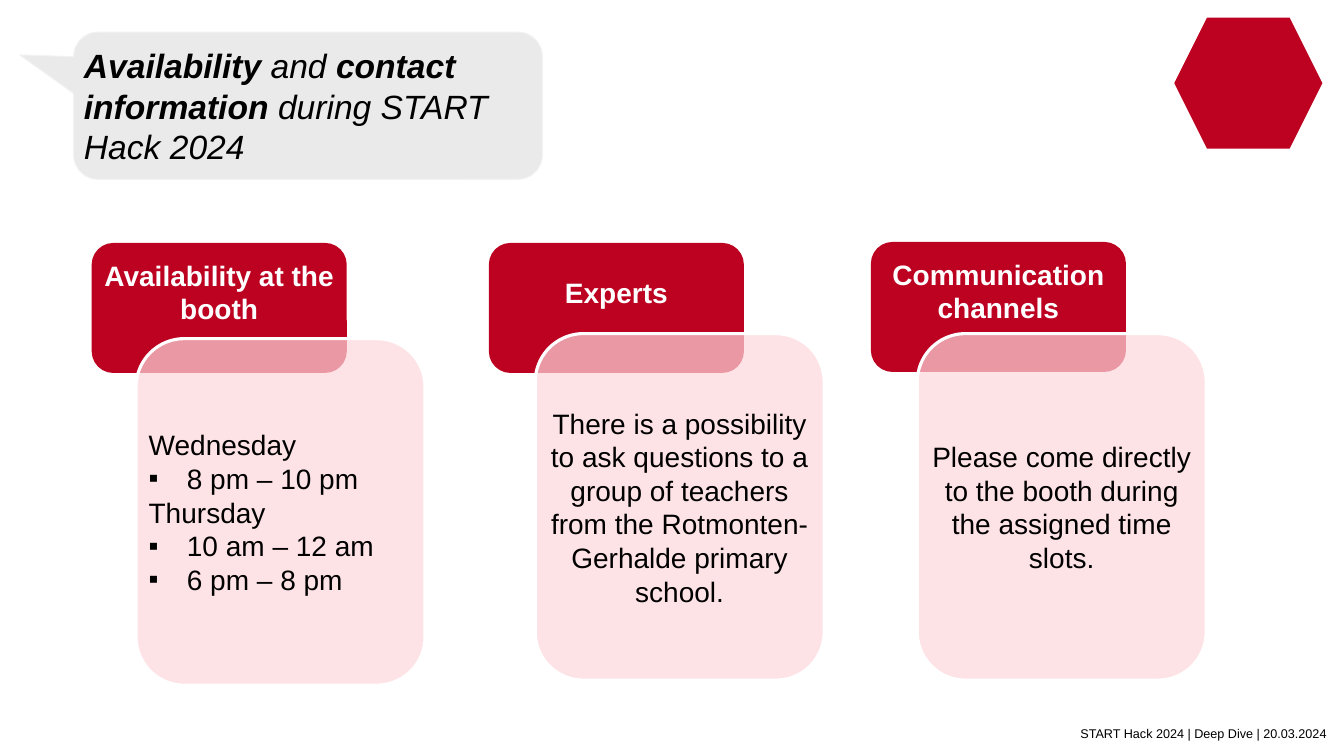
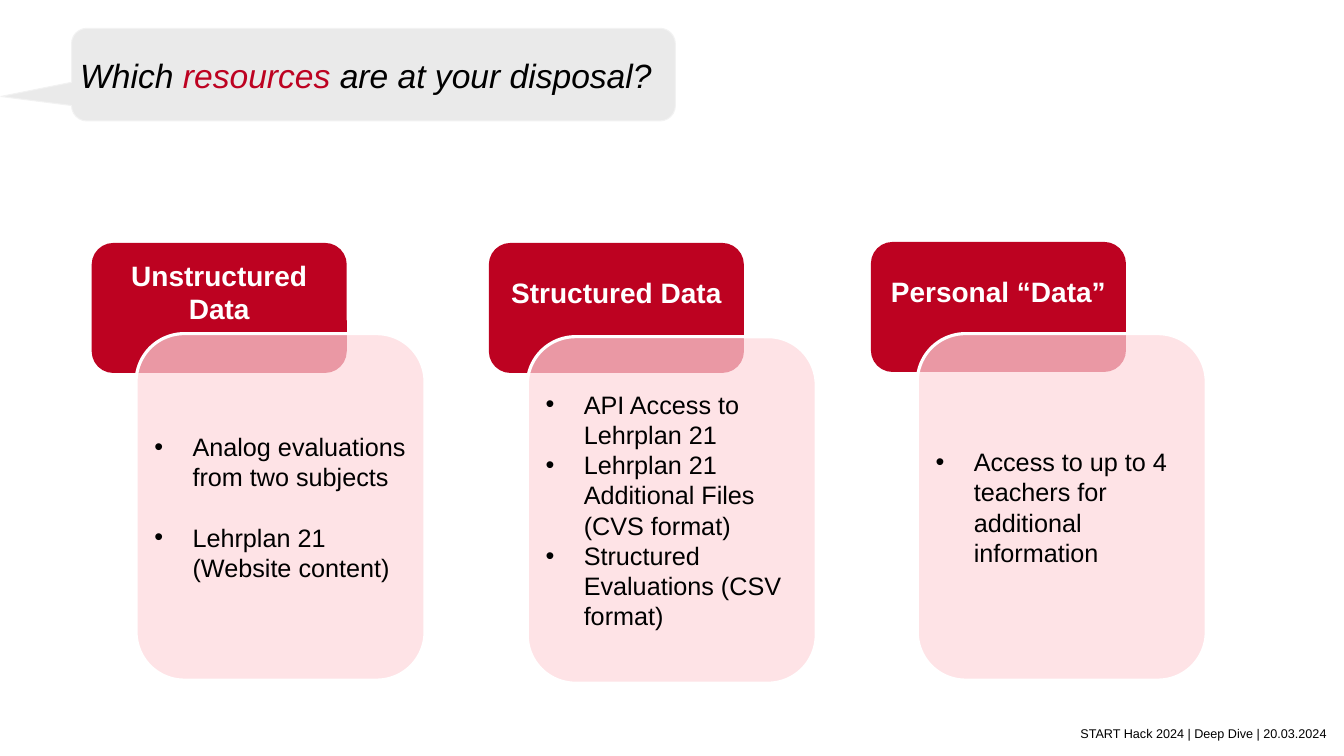
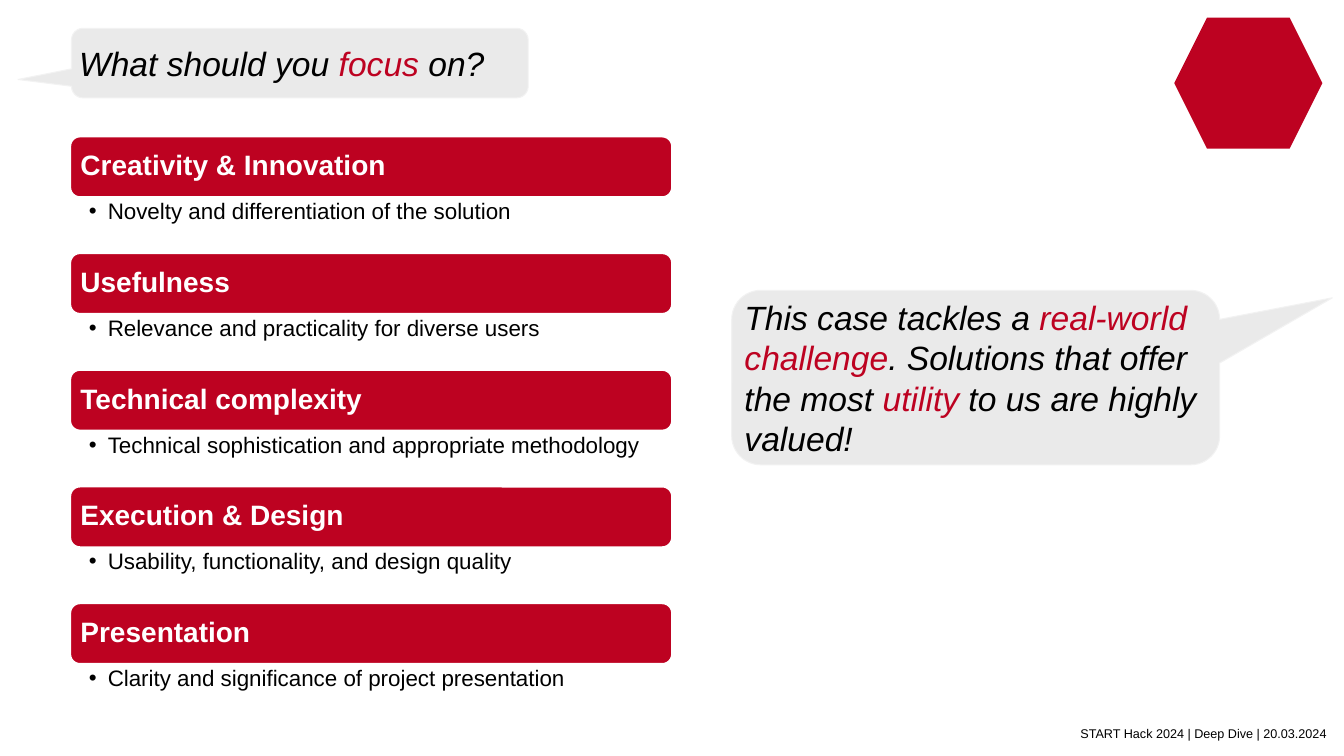
from dataclasses import dataclass

from lxml.etree import SubElement as Sub
from pptx import Presentation as Deck
from pptx.dml.color import RGBColor as Rgb
from pptx.enum.shapes import MSO_SHAPE as Kind
from pptx.enum.text import MSO_ANCHOR as Anchor, PP_ALIGN as Align
from pptx.oxml.ns import qn
from pptx.util import Pt

RED = Rgb(0xBD, 0x02, 0x21)
PINK = Rgb(0xFE, 0xD8, 0xDC)
GREY = Rgb(0xEA, 0xEA, 0xEA)
EDGE = Rgb(0xF2, 0xF2, 0xF2)
BLACK = Rgb(0, 0, 0)
WHITE = Rgb(0xFF, 0xFF, 0xFF)

FONT = "Arial"
FOOT = "START Hack 2024 | Deep Dive | 20.03.2024"
HEAD_W, HEAD_H = 182.2, 92.9
BODY_W, BODY_H = 206.4, 247.5
NOTE_W = 194.4
ROW_W, BAR_H, ROW_STEP = 430.6, 44, 83.35


@dataclass(frozen=True)
class Box:
    x: float
    y: float
    w: float
    h: float

    def points(self) -> tuple:
        return Pt(self.x), Pt(self.y), Pt(self.w), Pt(self.h)


@dataclass(frozen=True)
class Look:
    size: float
    color: Rgb = BLACK
    bold: bool = False
    slant: bool = False
    align: Align = Align.LEFT
    lines: float | None = None


@dataclass(frozen=True)
class Span:
    text: str
    color: Rgb = BLACK
    bold: bool = False


@dataclass(frozen=True)
class Line:
    text: str
    mark: str = ""
    gap: float = 0
    dent: float = 27.3


@dataclass(frozen=True)
class Card:
    title: str
    head: tuple[float, float]
    body: tuple[float, float]
    lines: tuple[Line, ...]
    align: Align = Align.LEFT


@dataclass(frozen=True)
class Bubble:
    box: Box
    tail: tuple[float, float]
    spans: tuple[Span, ...]
    pad: float = 3


@dataclass(frozen=True)
class Row:
    title: str
    note: str


HEAD = Look(20, WHITE, bold=True, align=Align.CENTER)
BAR = Look(20, WHITE, bold=True, lines=0.9)
NOTE = Look(16, lines=0.9)
SMALL = Look(9, align=Align.RIGHT)
SPEECH = Look(24, slant=True)

HOURS = (
    Bubble(Box(52.6, 23, 334.8, 105.1), (-0.615, -0.345), (
        Span("Availability", bold=True), Span(" and "),
        Span("contact information", bold=True),
        Span(" during START Hack 2024")), pad=2.2),
    (
        Card("Communication channels", (622.1, 172.8), (655.2, 238.3), (
            Line("Please come directly to the booth during the assigned "
                 "time slots."),), Align.CENTER),
        Card("Experts", (349.2, 173.5), (382.3, 238.3), (
            Line("There is a possibility to ask questions to a group of "
                 "teachers from the Rotmonten-Gerhalde primary school."),),
             Align.CENTER),
        Card("Availability at the booth", (65.5, 173.5), (97.2, 241.9), (
            Line("Wednesday"), Line("8 pm – 10 pm", "▪"),
            Line("Thursday"), Line("10 am – 12 am", "▪"),
            Line("6 pm – 8 pm", "▪"))),
    ),
)

TOOLS = (
    Bubble(Box(51.1, 20.2, 431.3, 66.2), (-0.617, 0.236), (
        Span("Which "), Span("resources", RED),
        Span(" are at your disposal?"))),
    (
        Card("Personal “Data”", (622.1, 172.8), (655.2, 238.3), (
            Line("Access to up to 4 teachers for additional information",
                 "•"),)),
        Card("Structured Data", (349.2, 173.5), (376.6, 240.5), (
            Line("API Access to Lehrplan 21", "•"),
            Line("Lehrplan 21 Additional Files (CVS format)", "•"),
            Line("Structured Evaluations (CSV format)", "•"))),
        Card("Unstructured Data", (65.5, 173.5), (97.2, 238.3), (
            Line("Analog evaluations from two subjects", "•"),
            Line("Lehrplan 21 (Website content)", "•", gap=21.6))),
    ),
)

FOCUS = Bubble(Box(51.1, 20.2, 326.2, 49.7), (-0.617, 0.236), (
    Span("What should you "), Span("focus", RED), Span(" on?")))

CLAIM = Bubble(Box(522.7, 207.4, 348.5, 124.6), (0.731, -0.457), (
    Span("This case tackles a "), Span("real-world challenge", RED),
    Span(". Solutions that offer the most "), Span("utility", RED),
    Span(" to us are highly valued!")))

ROWS = (
    Row("Creativity & Innovation", "Novelty and differentiation of the solution"),
    Row("Usefulness", "Relevance and practicality for diverse users"),
    Row("Technical complexity",
        "Technical sophistication and appropriate methodology"),
    Row("Execution & Design", "Usability, functionality, and design quality"),
    Row("Presentation", "Clarity and significance of project presentation"),
)


def add_shape(slide, kind: Kind, box: Box, fill: Rgb,
              edge: Rgb | None = None, width: float = 0):
    shape = slide.shapes.add_shape(kind, *box.points())
    shape.shadow.inherit = False
    shape.fill.solid()
    shape.fill.fore_color.rgb = fill
    if edge is None:
        shape.line.fill.background()
    else:
        shape.line.color.rgb = edge
        shape.line.width = Pt(width)
    return shape


def set_frame(shape, pads: tuple, anchor: Anchor = Anchor.MIDDLE):
    frame = shape.text_frame
    frame.word_wrap = True
    frame.vertical_anchor = anchor
    (frame.margin_left, frame.margin_top,
     frame.margin_right, frame.margin_bottom) = map(Pt, pads)
    return frame


def style_run(run, look: Look, color: Rgb, bold: bool) -> None:
    run.font.name = FONT
    run.font.size = Pt(look.size)
    run.font.color.rgb = color
    run.font.bold = bold
    run.font.italic = look.slant


def add_mark(para, mark: str, dent: float) -> None:
    props = para._p.get_or_add_pPr()
    props.set("marL", str(Pt(dent)))
    props.set("indent", str(-Pt(dent)))
    Sub(props, qn("a:buFont")).set("typeface", FONT)
    Sub(props, qn("a:buChar")).set("char", mark)


def write(frame, lines: tuple[Line, ...], look: Look) -> None:
    frame.text = "\n".join(line.text for line in lines)
    for para, line in zip(frame.paragraphs, lines):
        if line.mark:
            add_mark(para, line.mark, line.dent)
        para.alignment = look.align
        if look.lines:
            para.line_spacing = look.lines
        if line.gap:
            para.space_before = Pt(line.gap)
        for run in para.runs:
            style_run(run, look, look.color, look.bold)


def add_text(slide, box: Box, lines: tuple[Line, ...], look: Look,
             pads: tuple, anchor: Anchor = Anchor.MIDDLE) -> None:
    shape = slide.shapes.add_textbox(*box.points())
    write(set_frame(shape, pads, anchor), lines, look)


def draw_bubble(slide, bubble: Bubble) -> None:
    shape = add_shape(slide, Kind.ROUNDED_RECTANGULAR_CALLOUT, bubble.box,
                      GREY, EDGE, 0.75)
    shape.adjustments[0], shape.adjustments[1] = bubble.tail
    para = set_frame(shape, (bubble.pad,) * 4).paragraphs[0]
    para.alignment = SPEECH.align
    for span in bubble.spans:
        run = para.add_run()
        run.text = span.text
        style_run(run, SPEECH, span.color, span.bold)


def draw_card(slide, card: Card, size: float, apart: bool) -> None:
    head = add_shape(slide, Kind.ROUNDED_RECTANGLE,
                     Box(*card.head, HEAD_W, HEAD_H), RED)
    write(set_frame(head, (3, 3, 3, 26)), (Line(card.title),), HEAD)
    box = Box(*card.body, BODY_W, BODY_H)
    body = add_shape(slide, Kind.ROUNDED_RECTANGLE, box, PINK, WHITE, 2.25)
    tint = body.element.spPr.find(qn("a:solidFill"))[0]
    Sub(tint, qn("a:alpha")).set("val", "70000")
    look = Look(size, align=card.align)
    if apart:
        inner = Box(box.x + (BODY_W - NOTE_W) / 2, box.y, NOTE_W, BODY_H)
        add_text(slide, inner, card.lines, look, (3,) * 4)
    else:
        write(set_frame(body, (3,) * 4), card.lines, look)


def draw_row(slide, row: Row, top: float) -> None:
    bar = add_shape(slide, Kind.ROUNDED_RECTANGLE,
                    Box(49.8, top, ROW_W, BAR_H), RED, WHITE, 2)
    write(set_frame(bar, (5.5,) * 4), (Line(row.title),), BAR)
    add_text(slide, Box(49.8, top + BAR_H + 0.4, ROW_W, 39),
             (Line(row.note, "•", dent=13.5),), NOTE,
             (13.7, 1.5, 8.6, 1.5), Anchor.TOP)


def draw_badge(slide) -> None:
    add_shape(slide, Kind.HEXAGON, Box(838.8, 12.6, 105.8, 93.6), RED)


def new_slide(deck):
    slide = deck.slides.add_slide(deck.slide_layouts[6])
    add_text(slide, Box(599, 509, 348.5, 20.2), (Line(FOOT),), SMALL,
             (0,) * 4, Anchor.BOTTOM)
    return slide


def card_slide(deck, bubble: Bubble, cards: tuple[Card, ...],
               size: float, apart: bool):
    slide = new_slide(deck)
    draw_bubble(slide, bubble)
    for card in cards:
        draw_card(slide, card, size, apart)
    return slide


def focus_slide(deck):
    slide = new_slide(deck)
    draw_bubble(slide, FOCUS)
    for step, row in enumerate(ROWS):
        draw_row(slide, row, 97.2 + step * ROW_STEP)
    draw_bubble(slide, CLAIM)
    return slide


def main() -> None:
    deck = Deck()
    deck.slide_width, deck.slide_height = Pt(960), Pt(540)
    draw_badge(card_slide(deck, *HOURS, size=20, apart=True))
    card_slide(deck, *TOOLS, size=18, apart=False)
    draw_badge(focus_slide(deck))
    deck.save("out.pptx")


if __name__ == "__main__":
    main()
